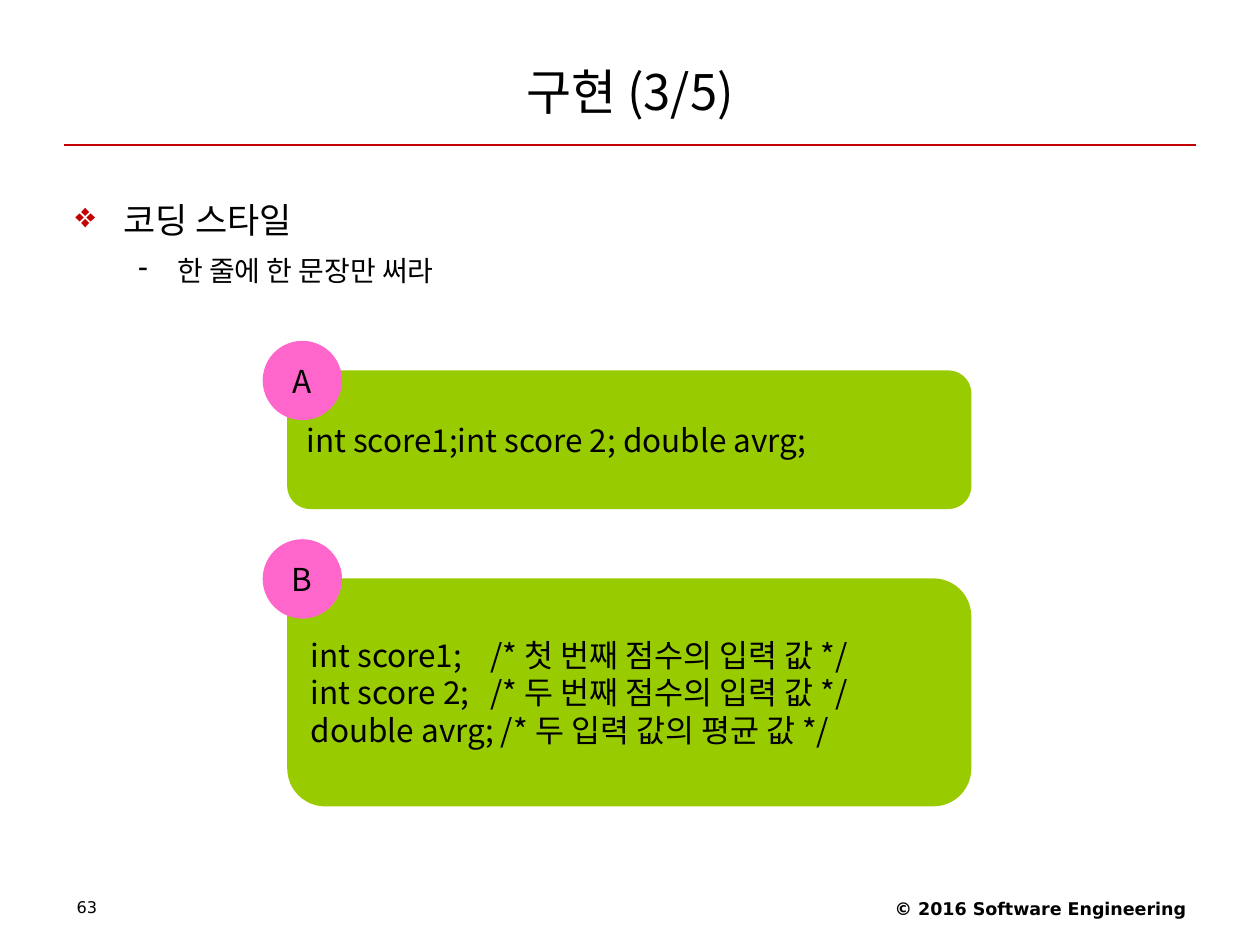
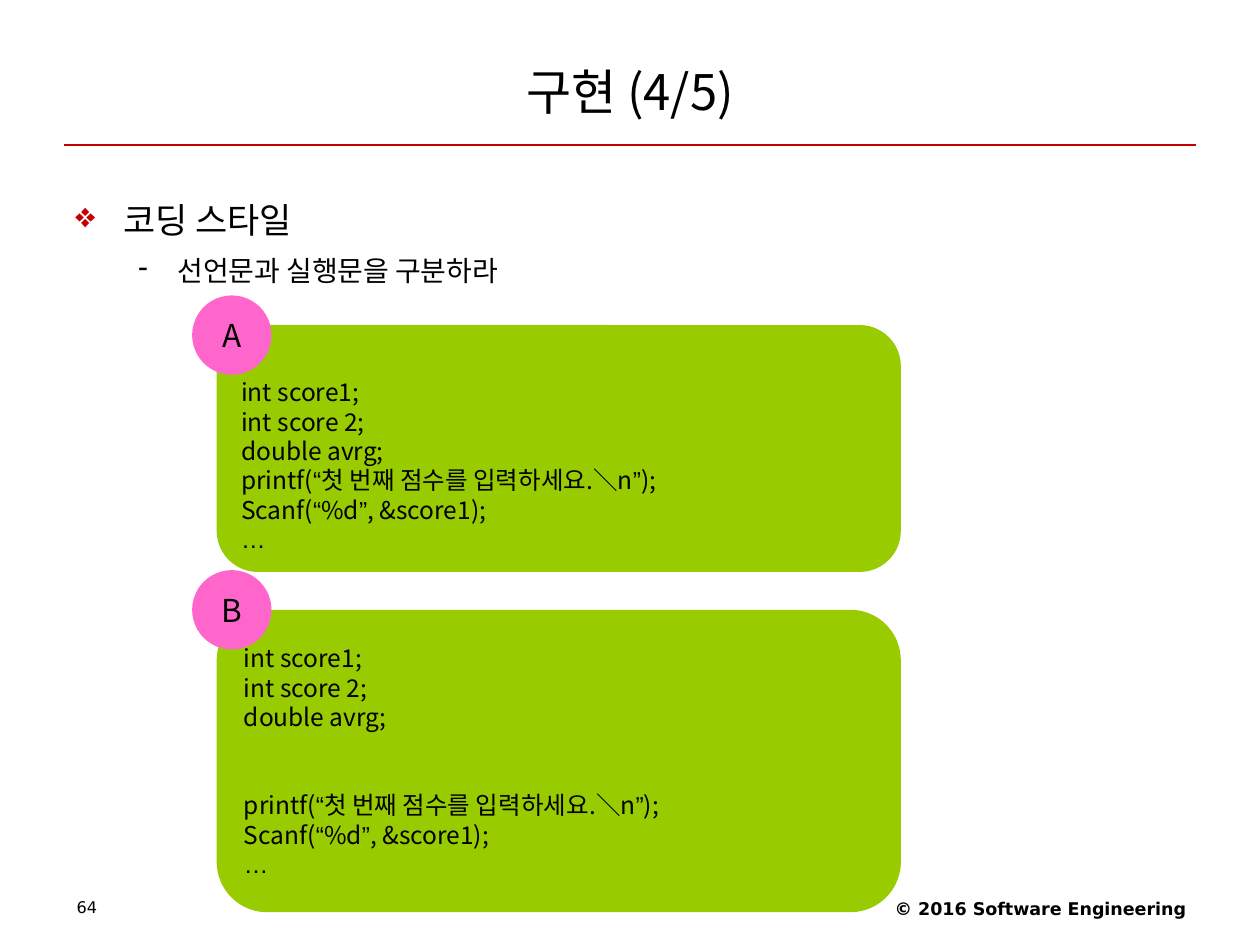
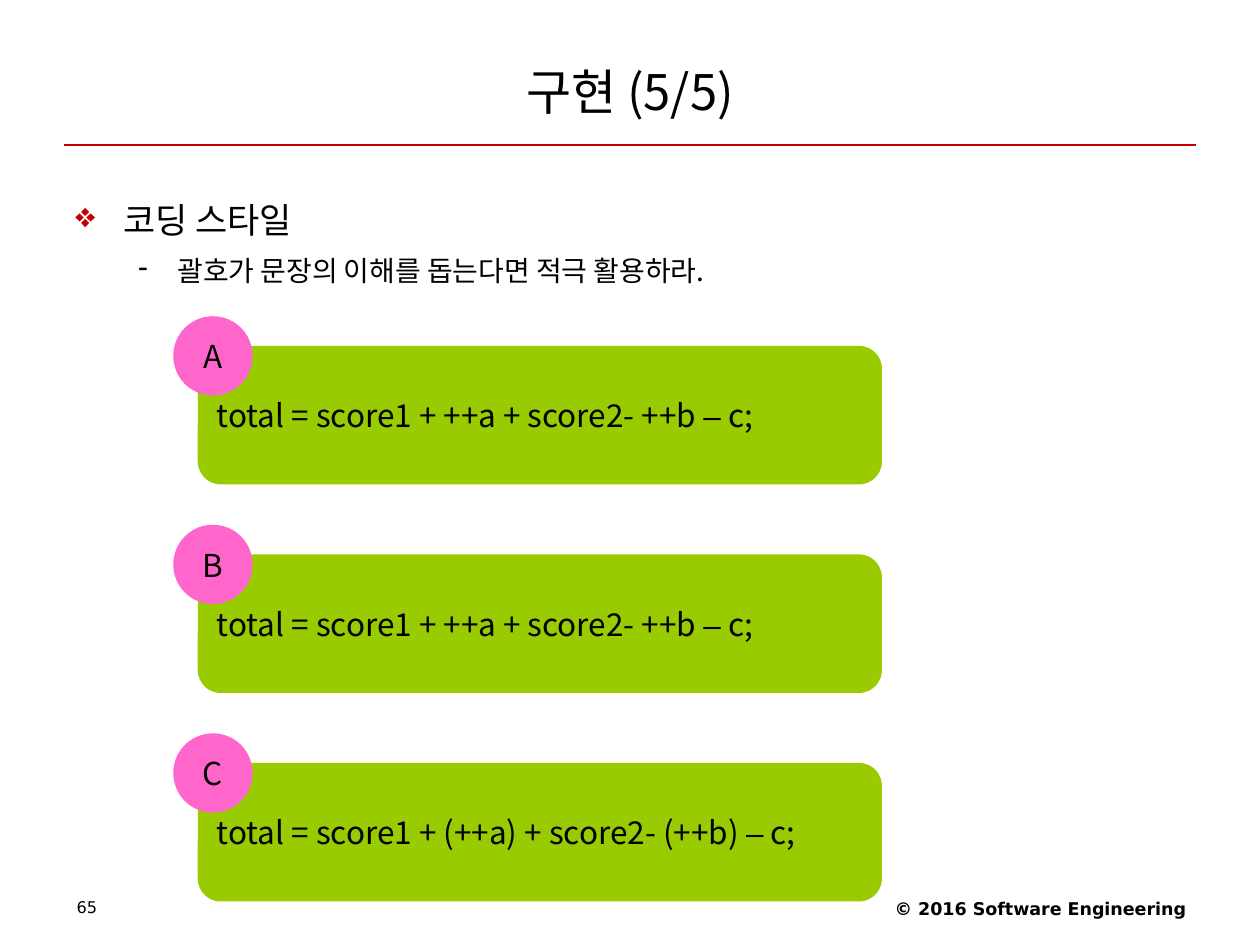
from dataclasses import dataclass
from itertools import groupby

from lxml.etree import SubElement
from pptx import Presentation
from pptx.dml.color import RGBColor
from pptx.enum.shapes import MSO_CONNECTOR as Connector, MSO_SHAPE as Preset
from pptx.enum.text import MSO_ANCHOR as Anchor, PP_ALIGN as Align
from pptx.oxml.ns import qn
from pptx.util import Inches, Pt

# Shared look
BLACK, RED, GREEN, PINK = "000000", "C40000", "99CC00", "FF66CC"
SANS, PUNCTUATION_FONT, FOOTER_FONT = "Noto Sans CJK KR", "Arial", "DejaVu Sans"
PUNCTUATION = "“”–…"
LINE_PITCH = 1.2  # line height per point of text size

# Grid of 100 columns by 75 rows
WIDTH, HEIGHT = Inches(10), Inches(7.5)
PANEL_WIDTH, BADGE_SIZE, BADGE_OUTSET = 54.3, 6.3, 1.95
FIRST_PAGE = 63
HEADING = "코딩 스타일"
FOOTER = "© 2016 Software Engineering"


@dataclass(frozen=True)
class Area:
    column: float
    row: float
    columns: float
    rows: float

    def place(self) -> tuple[int, int, int, int]:
        return (across(self.column), down(self.row),
                across(self.columns), down(self.rows))


@dataclass(frozen=True)
class Panel:
    label: str
    row: float
    rows: float
    blocks: tuple[tuple[str, ...], ...]  # blocks of code lines, two lines apart
    badge_rise: float = 2.35
    anchor: Anchor = Anchor.MIDDLE


@dataclass(frozen=True)
class Topic:
    title: str
    advice: str
    column: float
    code_size: float
    panels: tuple[Panel, ...]


@dataclass(frozen=True)
class Bullet:
    mark: str
    color: str
    size: float
    margin: float
    hang: float
    spacing: float
    before: float


TITLE_AREA = Area(5, 3, 90, 8.5)
BODY_AREA = Area(5, 13.9, 90, 55.1)
FOOTER_AREA = Area(63.4, 70.8, 31.7, 2.9)
NUMBER_AREA = Area(5.1, 70.9, 23.3, 2.8)
HEADING_BULLET = Bullet("❖", RED, 20, 0.38, 0.38, 1.4, 0)
ADVICE_BULLET = Bullet("-", BLACK, 16, 0.81, 0.31, 1.2, 4)

DECLARATIONS = ("int score1;", "int score 2;", "double avrg;")
STATEMENTS = ("printf(“첫 번째 점수를 입력하세요.＼n”);", "Scanf(“%d”, &score1);", "…")
PLAIN_SUM = "total = score1 + ++a + score2- ++b – c;"
BRACKETED_SUM = "total = score1 + (++a) + score2- (++b) – c;"

TOPICS = (
    Topic("구현 (3/5)", "한 줄에 한 문장만 써라", 22.8, 18, (
        Panel("A", 29.4, 11, (("int score1;int score 2; double avrg;",),)),
        Panel("B", 45.9, 18.1, ((
            "int score1;    /* 첫 번째 점수의 입력 값 */",
            "int score 2;   /* 두 번째 점수의 입력 값 */",
            "double avrg; /* 두 입력 값의 평균 값 */"),), badge_rise=3.1),
    )),
    Topic("구현 (4/5)", "선언문과 실행문을 구분하라", 17.2, 14, (
        Panel("A", 25.8, 19.6, (DECLARATIONS + STATEMENTS,), anchor=Anchor.BOTTOM),
        Panel("B", 48.4, 24, (DECLARATIONS, STATEMENTS), badge_rise=3.15),
    )),
    Topic("구현 (5/5)", "괄호가 문장의 이해를 돕는다면 적극 활용하라.", 15.7, 18, tuple(
        Panel(label, 27.45 + 16.55 * index, 11, ((code,),))
        for index, (label, code) in enumerate(
            zip("ABC", (PLAIN_SUM, PLAIN_SUM, BRACKETED_SUM)))
    )),
)


def across(columns: float) -> int:
    return round(WIDTH * columns / 100)


def down(rows: float) -> int:
    return round(HEIGHT * rows / 75)


def rgb(color: str) -> RGBColor:
    return RGBColor.from_string(color)


def write(para, text: str, size: float, font: str = SANS, bold: bool = False) -> None:
    """Add the text run by run, with typographic marks in their own font."""
    for is_mark, letters in groupby(text, lambda letter: letter in PUNCTUATION):
        span = para.add_run()
        span.text = "".join(letters)
        span.font.name = PUNCTUATION_FONT if is_mark else font
        span.font.size = Pt(size)
        span.font.bold = bold
        span.font.color.rgb = rgb(BLACK)
        span.font.language_id = None
        SubElement(span.font._element, qn("a:ea"), typeface=SANS)


def add_box(page, area: Area, anchor: Anchor = Anchor.TOP):
    frame = page.shapes.add_textbox(*area.place()).text_frame
    frame.word_wrap = True
    frame.vertical_anchor = anchor
    return frame


def add_label(page, area: Area, text: str, size: float, align: Align = Align.LEFT,
              anchor: Anchor = Anchor.TOP, font: str = SANS, bold: bool = False):
    para = add_box(page, area, anchor).paragraphs[0]
    para.alignment = align
    write(para, text, size, font, bold)
    return para


def add_filled(page, preset: Preset, area: Area, color: str, anchor: Anchor):
    shape = page.shapes.add_shape(preset, *area.place())
    shape.shadow.inherit = False
    shape.fill.solid()
    shape.fill.fore_color.rgb = rgb(color)
    shape.line.fill.background()
    shape.text_frame.word_wrap = False
    shape.text_frame.vertical_anchor = anchor
    return shape.text_frame


def add_frame(page, title: str, number: int) -> None:
    """Rule, footer, page number and title."""
    rule = page.shapes.add_connector(
        Connector.STRAIGHT, across(5.1), down(11.5), across(94.9), down(11.5))
    rule.line.color.rgb = rgb(RED)
    rule.line.width = Pt(0.75)
    SubElement(rule._element.spPr, qn("a:effectLst"))
    add_label(page, FOOTER_AREA, FOOTER, 10, Align.RIGHT, font=FOOTER_FONT, bold=True)
    para = add_label(page, NUMBER_AREA, str(number), 9.2, font=FOOTER_FONT)
    para.line_spacing = 0.9
    add_label(page, TITLE_AREA, title, 28, Align.CENTER, Anchor.MIDDLE)


def write_bullet(para, text: str, bullet: Bullet) -> None:
    properties = para._p.get_or_add_pPr()
    properties.set("marL", str(Inches(bullet.margin)))
    properties.set("indent", str(-Inches(bullet.hang)))
    tint = SubElement(properties, qn("a:buClr"))
    SubElement(tint, qn("a:srgbClr"), val=bullet.color)
    SubElement(properties, qn("a:buChar"), char=bullet.mark)
    para.line_spacing = Pt(bullet.size * bullet.spacing * LINE_PITCH)
    if bullet.before:
        para.space_before = Pt(bullet.before)
    write(para, text, bullet.size)


def add_body(page, advice: str) -> None:
    frame = add_box(page, BODY_AREA)
    write_bullet(frame.paragraphs[0], HEADING, HEADING_BULLET)
    para = frame.add_paragraph()
    para.level = 1
    write_bullet(para, advice, ADVICE_BULLET)


def add_panel(page, panel: Panel, column: float, size: float) -> None:
    area = Area(column, panel.row, PANEL_WIDTH, panel.rows)
    frame = add_filled(page, Preset.ROUNDED_RECTANGLE, area, GREEN, panel.anchor)
    pitch = size * LINE_PITCH
    lines = [(line, block > 0 and position == 0)
             for block, code in enumerate(panel.blocks)
             for position, line in enumerate(code)]
    for index, (line, starts_block) in enumerate(lines):
        para = frame.add_paragraph() if index else frame.paragraphs[0]
        para.alignment = Align.LEFT
        if len(lines) > 1:
            para.line_spacing = Pt(pitch)
        if starts_block:
            para.space_before = Pt(2 * pitch)
        write(para, line, size)


def add_badge(page, panel: Panel, column: float) -> None:
    area = Area(column - BADGE_OUTSET, panel.row - panel.badge_rise,
                BADGE_SIZE, BADGE_SIZE)
    para = add_filled(page, Preset.OVAL, area, PINK, Anchor.MIDDLE).paragraphs[0]
    para.alignment = Align.CENTER
    write(para, panel.label, 18)


def main() -> None:
    deck = Presentation()
    deck.slide_width, deck.slide_height = WIDTH, HEIGHT
    for number, topic in enumerate(TOPICS, FIRST_PAGE):
        page = deck.slides.add_slide(deck.slide_layouts[6])
        add_frame(page, topic.title, number)
        add_body(page, topic.advice)
        for panel in topic.panels:
            add_panel(page, panel, topic.column, topic.code_size)
        for panel in topic.panels:
            add_badge(page, panel, topic.column)
    deck.save("out.pptx")


if __name__ == "__main__":
    main()
